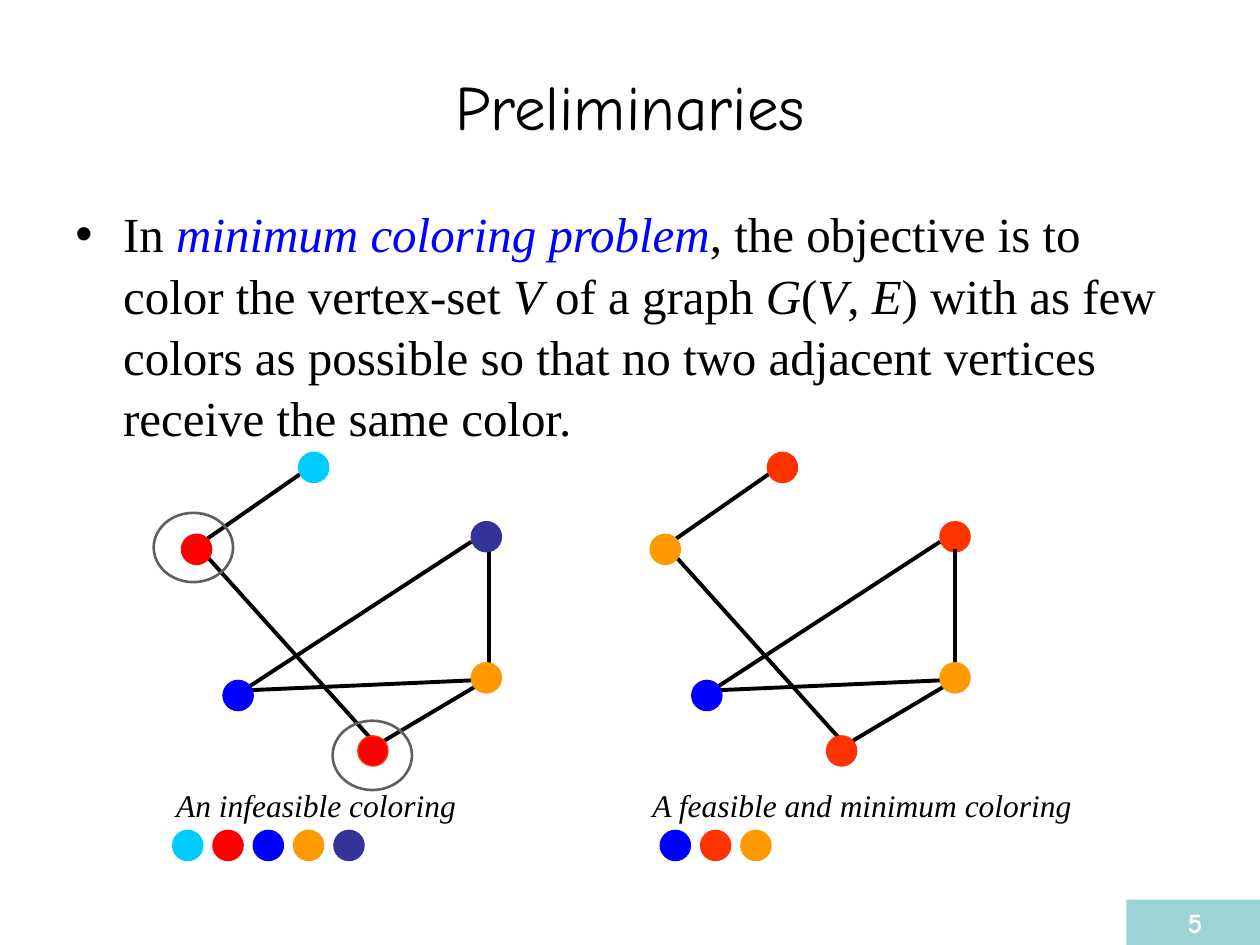
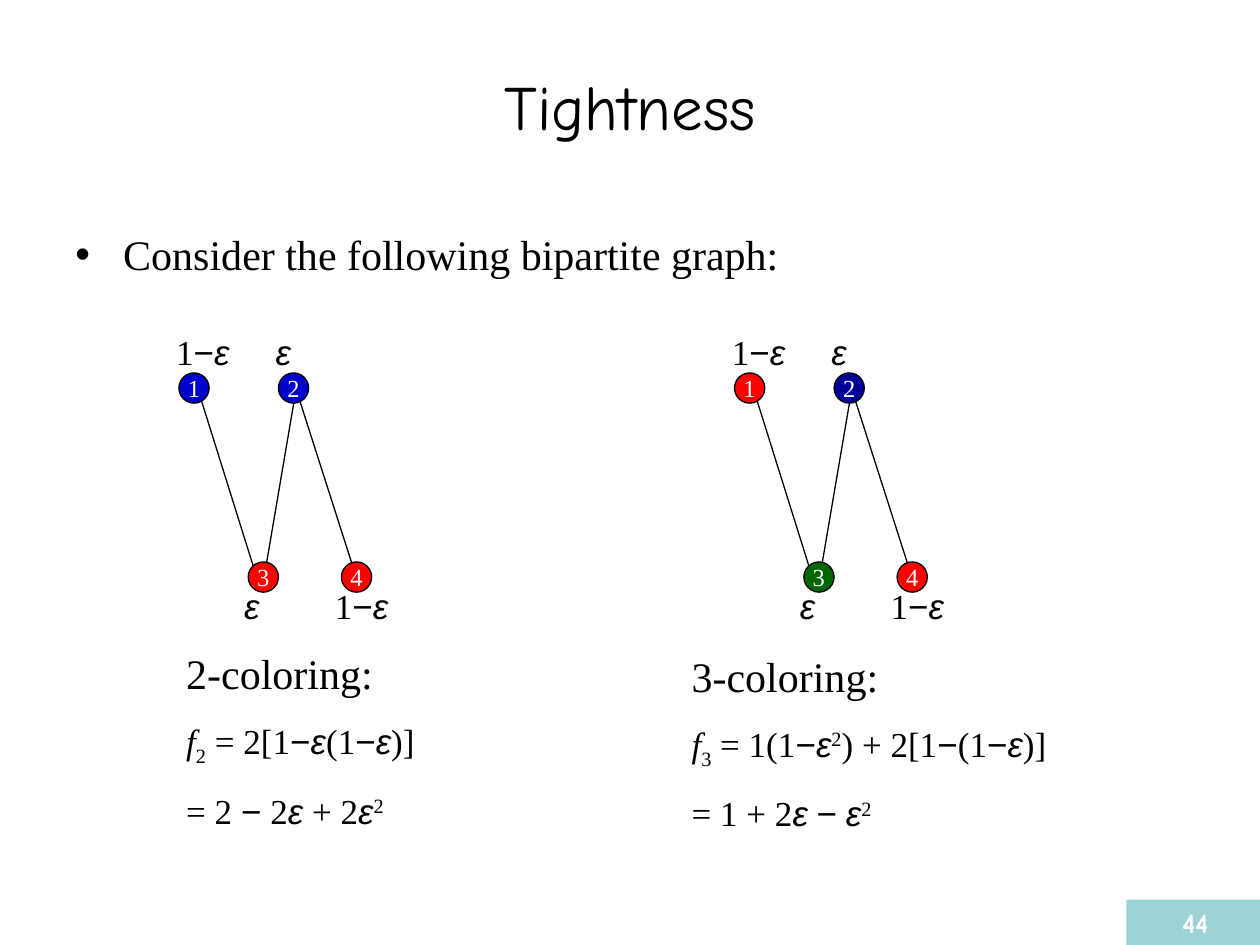
from itertools import groupby

from lxml import etree
from pptx import Presentation
from pptx.dml.color import RGBColor
from pptx.enum.shapes import MSO_CONNECTOR as LINE, MSO_SHAPE as SHAPE
from pptx.enum.text import MSO_ANCHOR as ANCHOR, PP_ALIGN as ALIGN
from pptx.oxml.ns import qn
from pptx.util import Inches, Pt

SERIF, SANS, COMIC = "Times New Roman", "Arial", "Comic Neue"
BLACK, WHITE, TEAL, GRAY = "000000", "FFFFFF", "9DD3D7", "5F5F5F"
RED, SCARLET, ORANGE, BLUE = "FF0000", "FF3300", "FF9900", "0000FF"
CYAN, INDIGO, GREEN = "00CCFF", "333399", "006600"
ROYAL, NAVY = "0000CC", "000099"
DOT = 0.24
SUBS, SUPS = {"₂": "2", "₃": "3"}, {"²": "2"}


def color(code):
    return RGBColor.from_string(code)


def add_box(slide, x, y, w, h):
    frame = slide.shapes.add_textbox(*map(Inches, (x, y, w, h))).text_frame
    frame.word_wrap = True
    return frame


def set_font(par, size, name=SERIF, tint=BLACK, bold=None, italic=None):
    font = par.font
    font.size, font.name = Pt(size), name
    font.bold, font.italic = bold, italic
    font.color.rgb = color(tint)


def add_shape(slide, kind, x, y, w, h, fill=None, rim=None, width=0.75):
    shape = slide.shapes.add_shape(kind, *map(Inches, (x, y, w, h)))
    shape.shadow.inherit = False
    if fill:
        shape.fill.solid()
        shape.fill.fore_color.rgb = color(fill)
    else:
        shape.fill.background()
    if rim:
        shape.line.color.rgb = color(rim)
        shape.line.width = Pt(width)
    else:
        shape.line.fill.background()
    return shape


def add_dot(slide, x, y, fill, rim=None):
    return add_shape(slide, SHAPE.OVAL, x, y, DOT, DOT, fill, rim or fill)


def add_node(slide, x, y, fill, label):
    frame = add_dot(slide, x, y, fill, BLACK).text_frame
    frame.word_wrap = False
    frame.vertical_anchor = ANCHOR.MIDDLE
    par = frame.paragraphs[0]
    par.text, par.alignment = label, ALIGN.CENTER
    set_font(par, 14, tint=WHITE)


def add_edge(slide, ends, dx, width):
    x1, y1, x2, y2 = ends
    line = slide.shapes.add_connector(
        LINE.STRAIGHT, *map(Inches, (x1 + dx, y1, x2 + dx, y2)))
    line.line.color.rgb = color(BLACK)
    line.line.width = Pt(width)
    etree.SubElement(line._element.spPr, qn("a:effectLst"))


def add_math(par, text, size):
    """Write a formula: Greek and minus in sans, f and ε italic, indices shifted."""
    def style(char):
        base = -25000 if char in SUBS else 30000 if char in SUPS else 0
        return SANS if char in "ε−" else SERIF, char in "εf", base

    set_font(par, size)
    for (name, slant, base), chars in groupby(text, style):
        run = par.add_run()
        run.text = "".join(SUBS.get(c) or SUPS.get(c) or c for c in chars)
        run.font.name, run.font.italic = name, slant
        if base:
            run._r.get_or_add_rPr().set("baseline", str(base))


def add_bullet(slide, y, h, runs, size):
    """Write one bulleted paragraph from (text, italic, colour) runs."""
    par = add_box(slide, 0.5, y, 9, h).paragraphs[0]
    props = par._p.get_or_add_pPr()
    props.set("marL", str(Inches(0.38)))
    props.set("indent", str(-Inches(0.38)))
    par.line_spacing = 1.04
    etree.SubElement(props, qn("a:buFont"), typeface=SANS)
    etree.SubElement(props, qn("a:buChar"), char="•")
    set_font(par, size)
    for text, slant, tint in runs:
        run = par.add_run()
        run.text, run.font.italic = text, slant
        run.font.color.rgb = color(tint)


def add_slide(deck, title, number):
    """Start a blank slide with its title and page number."""
    slide = deck.slides.add_slide(deck.slide_layouts[6])
    frame = add_box(slide, 0.5, 0.21, 9, 1.25)
    frame.vertical_anchor = ANCHOR.MIDDLE
    head = frame.paragraphs[0]
    head.text, head.alignment = title, ALIGN.CENTER
    set_font(head, 36, COMIC)

    band = add_shape(slide, SHAPE.RECTANGLE, 8.94, 7.14, 1.09, 0.36, TEAL)
    band.text_frame.vertical_anchor = ANCHOR.TOP
    page = band.text_frame.paragraphs[0]
    page.text, page.alignment = str(number), ALIGN.CENTER
    set_font(page, 16, COMIC, WHITE, bold=True)
    return slide


def draw_graph(slide, dx, fills, side):
    """Draw the six-vertex graph; side is its upright edge."""
    spots = [(3.74, 4.14), (2.37, 3.59), (1.44, 4.24),
             (3.74, 5.26), (1.77, 5.4), (2.84, 5.84)]
    edges = [(2.4, 3.75, 1.61, 4.3), side, (3.74, 4.3, 1.93, 5.48),
             (3.74, 5.4, 1.93, 5.48), (1.61, 4.38, 2.95, 5.87),
             (3.77, 5.45, 2.98, 5.92)]
    rims = [None] * 5 + [SCARLET]
    dots = [(x + dx, y, fill, rim)
            for (x, y), fill, rim in zip(spots, fills, rims)]
    add_dot(slide, *dots[0])
    for ends in edges:
        add_edge(slide, ends, dx, 2.25)
    for dot in dots[1:]:
        add_dot(slide, *dot)


def add_legend(slide, x, w, caption, left, fills):
    par = add_box(slide, x, 6.19, w, 0.4).paragraphs[0]
    par.text = caption
    set_font(par, 18, italic=True)
    for i, fill in enumerate(fills):
        add_dot(slide, left + 0.32 * i, 6.59, fill)


def draw_pairs(slide, dx, fills):
    """Draw the bipartite graph with its weights."""
    for ends in [(1.58, 3.12, 2.05, 4.62), (2.1, 4.56, 2.34, 3.15),
                 (2.36, 3.12, 2.84, 4.62)]:
        add_edge(slide, ends, dx, 0.75)
    spots = [(1.42, 2.96), (2.21, 2.96), (1.97, 4.46), (2.71, 4.46)]
    for i, ((x, y), fill) in enumerate(zip(spots, fills), 1):
        add_node(slide, x + dx, y, fill, str(i))
    for x, y, text in [(1.3, 2.57, "1−ε"), (2.09, 2.57, "ε"),
                       (1.84, 4.59, "ε"), (2.56, 4.59, "1−ε")]:
        add_math(add_box(slide, x + dx, y, 0.63, 0.44).paragraphs[0], text, 20)


def add_result(slide, x, y, w, title, lines):
    frame = add_box(slide, x, y, w, 1.56)
    head = frame.paragraphs[0]
    head.text = title
    set_font(head, 24)
    for text in lines:
        par = frame.add_paragraph()
        par.space_before = Pt(12.5)
        add_math(par, text, 20)


def show_basics(deck):
    slide = add_slide(deck, "Preliminaries", 5)
    add_bullet(slide, 1.55, 5.15, [
        ("In ", False, BLACK),
        ("minimum coloring problem", True, BLUE),
        (", the objective is to color the vertex-set ", False, BLACK),
        ("V", True, BLACK),
        (" of a graph ", False, BLACK),
        ("G", True, BLACK),
        ("(", False, BLACK),
        ("V", True, BLACK),
        (", ", False, BLACK),
        ("E", True, BLACK),
        (") with as few colors as possible so that no two adjacent "
         "vertices receive the same color.", False, BLACK),
    ], 28)
    draw_graph(slide, 0, [INDIGO, CYAN, RED, ORANGE, BLUE, RED],
               (3.88, 4.38, 3.88, 5.32))
    add_legend(slide, 1.3, 2.84, "An infeasible coloring", 1.37,
               [CYAN, RED, BLUE, ORANGE, INDIGO])
    draw_graph(slide, 3.72, [SCARLET, SCARLET, ORANGE, ORANGE, BLUE, SCARLET],
               (3.86, 4.36, 3.86, 5.31))
    add_legend(slide, 5.08, 4.02, "A feasible and minimum coloring", 5.24,
               [BLUE, SCARLET, ORANGE])
    for x, y in [(2.64, 5.72), (1.22, 4.07)]:
        add_shape(slide, SHAPE.OVAL, x, y, 0.63, 0.55, rim=GRAY, width=1.5)


def show_bound(deck):
    slide = add_slide(deck, "Tightness", 44)
    add_bullet(slide, 1.75, 4.95,
               [("Consider the following bipartite graph:", False, BLACK)], 24)
    draw_pairs(slide, 0, [ROYAL, ROYAL, RED, RED])
    draw_pairs(slide, 4.41, [RED, NAVY, GREEN, RED])
    add_result(slide, 1.38, 5.09, 2.6, "2-coloring:",
               ["f₂ = 2[1−ε(1−ε)]", "= 2 − 2ε + 2ε²"])
    add_result(slide, 5.39, 5.11, 3.39, "3-coloring:",
               ["f₃ = 1(1−ε²) + 2[1−(1−ε)]", "= 1 + 2ε − ε²"])


def main():
    deck = Presentation()
    deck.slide_width, deck.slide_height = Inches(10), Inches(7.5)
    show_basics(deck)
    show_bound(deck)
    deck.save("out.pptx")


if __name__ == "__main__":
    main()
